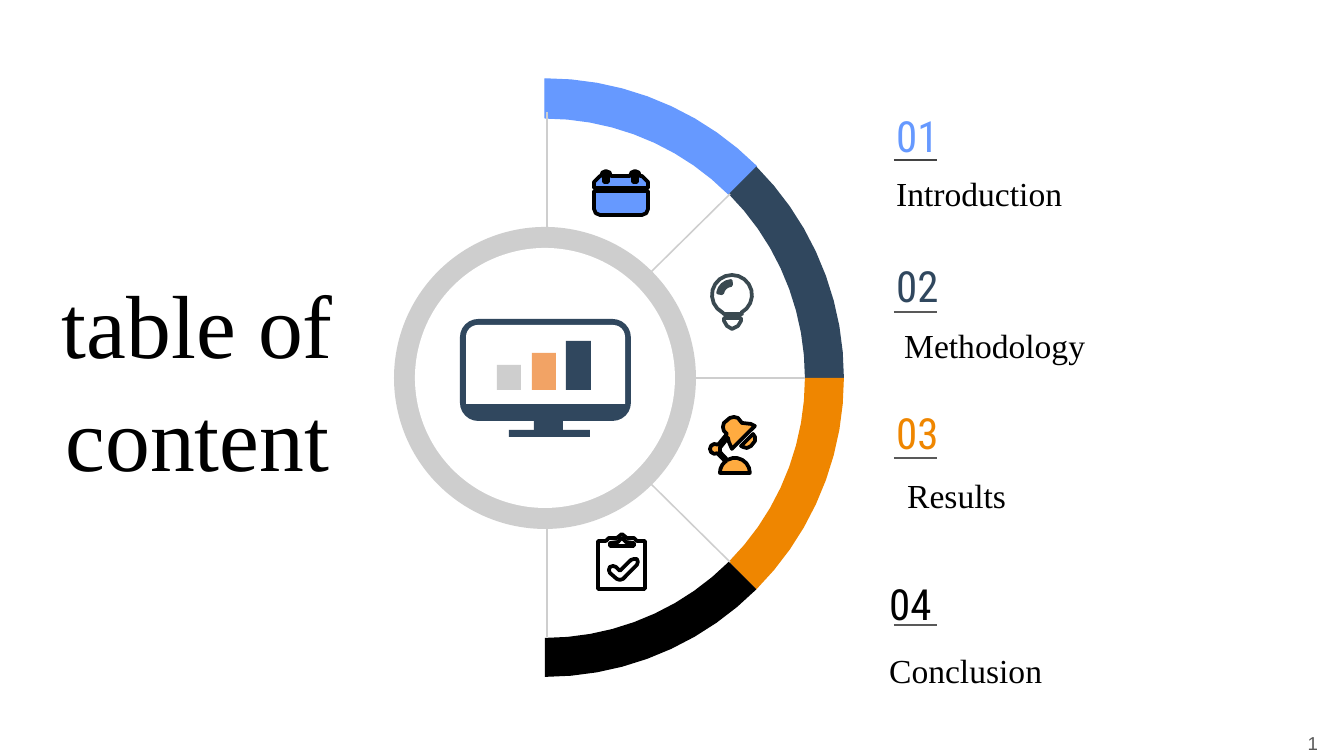
import math

import pptx
import pptx.dml.color
import pptx.enum.shapes
import pptx.enum.text
import pptx.oxml
import pptx.util
from lxml import etree

RGB = pptx.dml.color.RGBColor
SHAPE = pptx.enum.shapes.MSO_SHAPE
ALIGN = pptx.enum.text.PP_ALIGN
ANCHOR = pptx.enum.text.MSO_ANCHOR

PX = 914400 / 134.4
BLUE = RGB(0x66, 0x99, 0xFF)
NAVY = RGB(0x30, 0x47, 0x5E)
ORANGE = RGB(0xEF, 0x86, 0x00)
PEACH = RGB(0xF2, 0xA3, 0x65)
AMBER = RGB(0xFF, 0xAB, 0x40)
GREY = RGB(0xCE, 0xCE, 0xCE)
SLATE = RGB(0x3A, 0x49, 0x50)
DARK = RGB(0x43, 0x43, 0x43)
RULE = RGB(0x59, 0x59, 0x59)
BLACK = RGB(0, 0, 0)
WHITE = RGB(255, 255, 255)


def emu(*lengths):
    return [pptx.util.Emu(round(length * PX)) for length in lengths]


def arc(x, y, radius, start, end):
    """Points on a circle, in degrees clockwise from the right; small circles get fewer."""
    step = 5 if radius > 100 else 20 if radius > 9 else 45
    count = math.ceil(abs(end - start) / step)
    angles = [math.radians(start + (end - start) * i / count) for i in range(count + 1)]
    return [(x + radius * math.cos(a), y + radius * math.sin(a)) for a in angles]


deck = pptx.Presentation()
deck.slide_width, deck.slide_height = emu(1344, 756)
page = deck.slides.add_slide(deck.slide_layouts[6])
shapes = page.shapes

# Outlines: contours in px, fill, line colour, line width in points
CENTER = (545, 378)
outlines = []
for start, color in [(-90, BLUE), (-45, NAVY), (0, ORANGE), (45, BLACK)]:
    band = arc(*CENTER, 299, start, start + 45) + arc(*CENTER, 260, start + 45, start)
    outlines.append(([band], color, BLUE if color == BLUE else None, 0.75))

calendar_top = [
    [(594, 188), (594, 182), (600, 176)] + arc(606, 176, 5, 180, 360)
    + arc(635, 176, 5, 180, 360) + [(642, 176), (648, 182), (648, 188)]
] + [[(x - 2, 174), (x + 2, 174), (x + 2, 182), (x - 2, 182)] for x in (606, 635)]
calendar_body = [
    [(594, 191), (648, 191)] + arc(642, 209, 6, 0, 90) + arc(600, 209, 6, 90, 180)
]
bulb_glass = [
    arc(732, 295, 20, 118, 422) + [(742, 314), (724, 314)],
    arc(732, 295, 14, 190, 265) + arc(732, 295, 10, 265, 190),
]
bulb_base = [
    [(724, 318), (724, 321), (727, 326), (732, 329), (738, 326), (741, 321), (741, 318)]
]
lamp_stand = [
    [(734, 417), (730, 418), (724, 423), (723, 427), (724, 431), (727, 434), (718, 445)]
    + arc(715, 449, 5, 300, 60)
    + [(718, 454), (726, 462)]
    + arc(735, 473, 15, 230, 180) + arc(735, 473, 15, 360, 240)
    + [(720, 452), (720, 448), (728, 438), (729, 442), (732, 449),
       (755, 426), (751, 424), (742, 423), (738, 418)]
]
lamp_light = [
    [(753, 434), (741, 446), (743, 447), (747, 448), (751, 446), (755, 441), (755, 437)]
]
clipboard = [
    [(598, 541), (606, 541), (609, 538), (617, 538), (622, 534), (627, 538),
     (634, 538), (637, 541), (645, 541), (645, 589), (598, 589)],
    [(610, 546), (610, 543), (618, 542), (622, 538), (626, 542), (634, 543), (634, 546)],
    [(634, 559), (637, 559), (638, 562), (637, 565), (623, 579), (620, 580), (617, 579),
     (610, 573), (609, 570), (610, 567), (613, 566), (616, 567), (620, 571), (631, 560)],
]
for contours, fill, line in [
    (calendar_top, BLUE, BLACK), (calendar_body, BLUE, BLACK),
    (bulb_glass, WHITE, SLATE), (bulb_base, WHITE, SLATE),
    (lamp_stand, AMBER, BLACK), (lamp_light, AMBER, BLACK),
    (clipboard, WHITE, BLACK),
]:
    outlines.append((contours, fill, line, 2))

for contours, fill, line, width in outlines:
    builder = None
    for contour in contours:
        points = [emu(*point) for point in contour]
        if builder is None:
            builder = shapes.build_freeform(*points[0])
        else:
            builder.move_to(*points[0])
        builder.add_line_segments(points[1:], close=True)
    outline = builder.convert_to_shape()
    outline.shadow.inherit = False
    outline.fill.solid()
    outline.fill.fore_color.rgb = fill
    if line is None:
        outline.line.fill.background()
    else:
        outline.line.color.rgb = line
        outline.line.width = pptx.util.Pt(width)

# Hub with the monitor
for kind, bounds, color, corner in [
    (SHAPE.OVAL, (394, 227, 302, 302), GREY, None),
    (SHAPE.OVAL, (415, 248, 260, 260), WHITE, None),
    (SHAPE.ROUNDED_RECTANGLE, (460, 319, 171, 102), NAVY, 0.18),
    (SHAPE.ROUND_2_SAME_RECTANGLE, (466, 325, 159, 79), WHITE, 0.15),
    (SHAPE.RECTANGLE, (534, 406, 29, 28), NAVY, None),
    (SHAPE.RECTANGLE, (509, 430, 81, 7), NAVY, None),
    (SHAPE.RECTANGLE, (497, 365, 24, 25), GREY, None),
    (SHAPE.RECTANGLE, (532, 353, 24, 37), PEACH, None),
    (SHAPE.RECTANGLE, (566, 341, 25, 49), NAVY, None),
]:
    part = shapes.add_shape(kind, *emu(*bounds))
    part.shadow.inherit = False
    part.fill.solid()
    part.fill.fore_color.rgb = color
    part.line.fill.background()
    if corner is not None:
        part.adjustments[0] = corner

# Sections: number, title, colour, number place, title place, rule height, rule colour
sections = [
    ("01", "Introduction", BLUE, (883, 109), (883, 160), 160, DARK),
    ("02", "Methodology", NAVY, (883, 259), (891, 312), 312, RULE),
    ("03", "Results", ORANGE, (883, 406), (894, 462), 458, RULE),
    ("04", "Conclusion", BLACK, (876, 577), (876, 637), 625, RULE),
]

lines = [
    ((547, 637), (547, 526), GREY, 0.81),
    ((805, 378), (689, 378), GREY, 0.81),
    ((547, 234), (547, 112), GREY, 0.81),
    ((649, 274), (730, 194), GREY, 0.81),
    ((648, 481), (730, 562), GREY, 0.81),
]
lines += [((894, y), (937, y), color, 0.75) for *_, y, color in sections]
for start, end, color, width in lines:
    connector = shapes.add_connector(
        pptx.enum.shapes.MSO_CONNECTOR.STRAIGHT, *emu(*start, *end))
    connector.line.color.rgb = color
    connector.line.width = pptx.util.Pt(width)
    etree.SubElement(connector._element.spPr, pptx.oxml.ns.qn("a:effectLst"))

# Texts: wording, bounds, font, size, colour, alignment, anchor, line spacing
SERIF = "Times New Roman"
texts = [
    ("table of content", (0, 194, 395, 364), SERIF, 48, BLACK, ALIGN.CENTER, ANCHOR.MIDDLE, 1.06),
    ("1", (1250, 714, 81, 58), "Arial", 10, RULE, ALIGN.RIGHT, ANCHOR.MIDDLE, 1.0),
]
for number, title, color, number_place, title_place, *_ in sections:
    texts.append((number, (*number_place, 355, 52), "Roboto Condensed", 23, color,
                  ALIGN.LEFT, ANCHOR.MIDDLE, 1.0))
    texts.append((title, (*title_place, 418, 67), SERIF, 18, BLACK,
                  ALIGN.LEFT, ANCHOR.TOP, 1.0))

for wording, bounds, font, size, color, align, anchor, spacing in texts:
    box = shapes.add_textbox(*emu(*bounds))
    frame = box.text_frame
    inset = pptx.util.Inches(0.1)
    frame_format = {"word_wrap": True, "vertical_anchor": anchor, "margin_left": inset,
                    "margin_right": inset, "margin_top": inset, "margin_bottom": inset}
    para = frame.paragraphs[0]
    span = para.add_run()
    span.text = wording
    span.font.color.rgb = color
    for target, values in [
        (frame, frame_format),
        (para, {"alignment": align, "line_spacing": spacing}),
        (span.font, {"name": font, "size": pptx.util.Pt(size)}),
    ]:
        for name, value in values.items():
            setattr(target, name, value)

deck.save("out.pptx")
